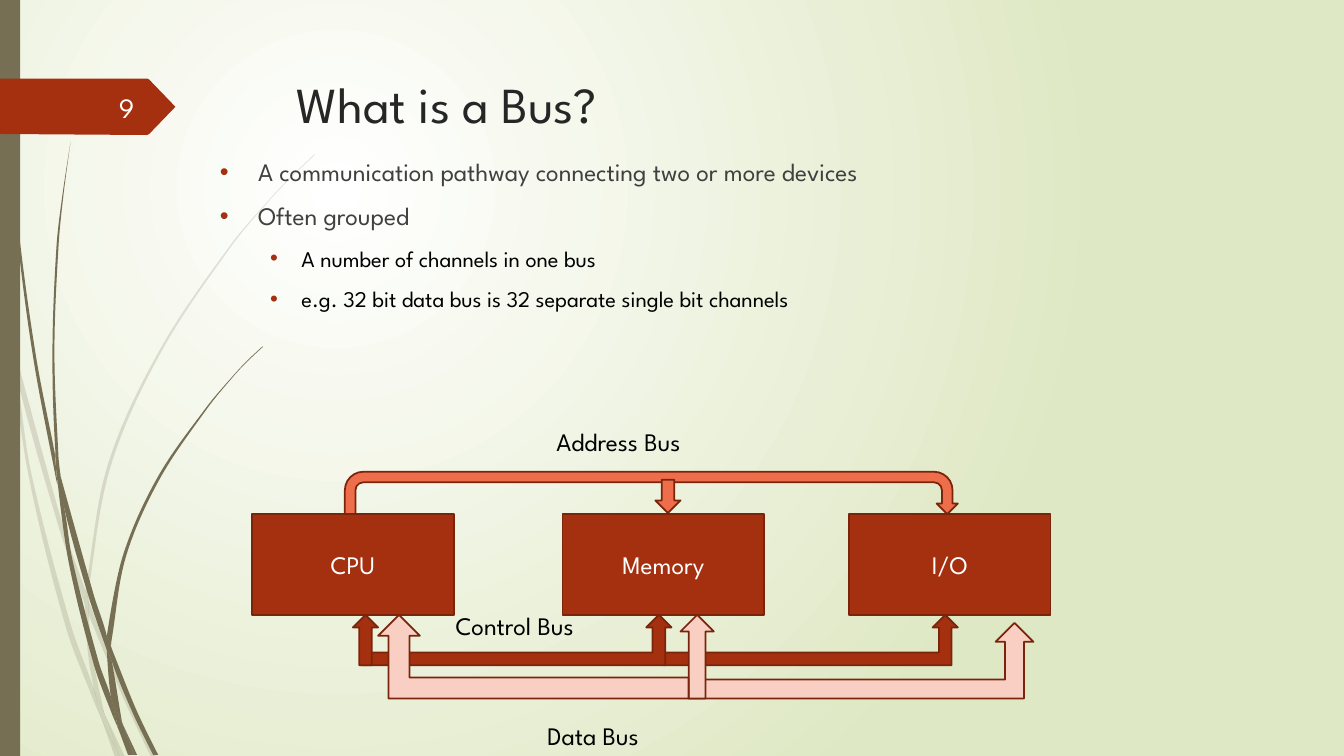
from math import hypot

from lxml import etree
from pptx import Presentation
from pptx.dml.color import RGBColor
from pptx.enum.shapes import MSO_SHAPE
from pptx.enum.text import MSO_ANCHOR, MSO_AUTO_SIZE, PP_ALIGN
from pptx.oxml.ns import qn
from pptx.util import Inches, Pt

RECT, UTURN, DOWN = MSO_SHAPE.RECTANGLE, MSO_SHAPE.U_TURN_ARROW, MSO_SHAPE.DOWN_ARROW
BENT, UP = MSO_SHAPE.BENT_UP_ARROW, MSO_SHAPE.UP_ARROW
TOP, MIDDLE = MSO_ANCHOR.TOP, MSO_ANCHOR.MIDDLE
FIT, FIXED = MSO_AUTO_SIZE.SHAPE_TO_FIT_TEXT, MSO_AUTO_SIZE.NONE
LEFT, CENTER = PP_ALIGN.LEFT, PP_ALIGN.CENTER
RIGHT, JUSTIFY = PP_ALIGN.RIGHT, PP_ALIGN.JUSTIFY

FONT = "League Spartan"
WHITE = RGBColor(0xFF, 0xFF, 0xFF)
BLACK = RGBColor(0x00, 0x00, 0x00)
INK = RGBColor(0x26, 0x26, 0x26)
GREY = RGBColor(0x40, 0x40, 0x40)
GREEN = RGBColor(0xDF, 0xE8, 0xC4)
OLIVE = RGBColor(0x76, 0x6F, 0x54)
RUST = RGBColor(0xA5, 0x30, 0x10)
EDGE = RGBColor(0x7A, 0x24, 0x0C)
CORAL = RGBColor(0xEE, 0x6E, 0x4B)
PINK = RGBColor(0xF9, 0xCF, 0xC3)

# Outlines of the grass blades: x and y in turn
PALE = [
    (0.11, 3.5, 0.09, 3.22, 0, 2.82, 0, 2.99, 0.1, 3.44),
    (0.58, 5.22, 0.84, 5.99, 0.85, 5.86, 0.62, 5.2, 0.14, 3.45, 0.17, 3.76),
    (0.92, 6.07, 0.88, 5.96, 0.88, 6.1, 1.23, 6.94, 1.5, 7.51, 1.55, 7.51, 1.27, 6.92),
    (1.19, 7.51, 1.24, 7.51, 1.05, 7.11),
    (0.93, 6.83, 0.7, 6.19, 0.31, 4.69, 0.17, 3.76, 0.11, 3.5, 0.28, 4.7, 0.65, 6.21,
     0.92, 6.93, 1.01, 7.14, 0.99, 7.07),
    (0.84, 5.99, 0.87, 6.46, 0.93, 6.83, 0.96, 6.92, 1.05, 7.11, 1.03, 7.06, 0.91, 6.46,
     0.88, 6.1, 0.88, 6.08),
    (0.88, 5.84, 1.1, 4.62, 1.6, 3.49, 2.29, 2.45, 2.68, 1.98, 2.9, 1.75, 3.12, 1.54,
     3.12, 1.53, 2.89, 1.75, 2.68, 1.97, 2.28, 2.44, 1.58, 3.48, 1.07, 4.61, 0.85, 5.84,
     0.85, 5.86, 0.88, 5.96),
    (1.01, 7.14, 1.14, 7.51, 1.19, 7.51),
    (0.88, 6.08, 0.88, 6.1, 0.88, 5.96, 0.85, 5.86, 0.84, 5.99),
    (0.96, 6.92, 0.93, 6.83, 0.99, 7.07, 1.01, 7.14, 1.19, 7.51, 1.05, 7.11),
]
DARK = [
    (0.07, 1.1, 0.17, 2.33, 0.33, 3.55, 0.56, 4.77, 0.57, 4.81, 0.55, 4.57, 0.55, 4.53,
     0.36, 3.55, 0.19, 2.32, 0.08, 1.09, 0.05, 0.48, 0.04, 0, 0.03, 0, 0.04, 0.48),
    (0.88, 5.92, 1.06, 6.45, 1.06, 6.31, 0.93, 5.9, 0.6, 4.72, 0.64, 5.05),
    (1.13, 6.49, 1.1, 6.41, 1.11, 6.56, 1.32, 7.08, 1.52, 7.49, 1.57, 7.49, 1.36, 7.06),
    (1.1, 6.91, 0.98, 6.57, 0.72, 5.56, 0.64, 5.05, 0.57, 4.77, 0.68, 5.57, 0.93, 6.59,
     1.11, 7.08, 1.17, 7.22, 1.16, 7.17),
    (0.6, 4.72, 0.58, 4.53, 0.54, 3.49, 0.58, 2.45, 0.63, 1.93, 0.7, 1.41, 0.62, 1.93,
     0.56, 2.45, 0.52, 3.49, 0.55, 4.49),
    (1.33, 7.49, 1.36, 7.49, 1.22, 7.19),
    (0.57, 4.77, 0.64, 5.05, 0.6, 4.72, 0.55, 4.49, 0.55, 4.53),
    (1.11, 6.33, 1.25, 5.52, 1.58, 4.76, 2.05, 4.06, 2.31, 3.74, 2.45, 3.59, 2.61, 3.44,
     2.6, 3.44, 2.45, 3.58, 2.31, 3.73, 2.04, 4.05, 1.56, 4.74, 1.22, 5.51, 1.06, 6.31,
     1.1, 6.41),
    (1.17, 7.22, 1.27, 7.49, 1.31, 7.49),
    (1.06, 6.45, 1.1, 6.91, 1.16, 7.06, 1.22, 7.19, 1.21, 7.16, 1.11, 6.56, 1.09, 6.51),
    (1.06, 6.45, 1.09, 6.51, 1.11, 6.56, 1.1, 6.41, 1.06, 6.31),
    (1.16, 7.06, 1.1, 6.91, 1.16, 7.17, 1.17, 7.22, 1.3, 7.49, 1.33, 7.49, 1.22, 7.19),
]
FLAG = (1.74, 1.06, 1.48, 1.33, 1.46, 1.34, 0, 1.33, 0, 0.78, 1.46, 0.78, 1.48, 0.79)


def paint(shape, fill, line=None):
    shape.shadow.inherit = False
    shape.fill.solid()
    shape.fill.fore_color.rgb = fill
    if line is None:
        shape.line.fill.background()
    else:
        shape.line.color.rgb = line
        shape.line.width = Pt(1.25)


def write(par, text, size, color, align):
    par.alignment = align
    run = par.add_run()
    run.text = text
    run.font.name = FONT
    run.font.size = Pt(size)
    run.font.color.rgb = color


def place(shape, *box):
    shape.left, shape.top, shape.width, shape.height = map(Inches, box)


def block(slide, kind, box, fill, line=EDGE, adjust=(), flip=False):
    shape = slide.shapes.add_shape(kind, *map(Inches, box))
    paint(shape, fill, line)
    for i, value in enumerate(adjust):
        shape.adjustments[i] = value
    if flip:
        shape.element.spPr.find(qn("a:xfrm")).set("flipH", "1")
    return shape


def label(slide, text, box, size=18, color=BLACK, align=LEFT, anchor=TOP):
    frame = slide.shapes.add_textbox(*map(Inches, box)).text_frame
    frame.word_wrap = True
    frame.auto_size = FIT if anchor == TOP else FIXED
    frame.vertical_anchor = anchor
    write(frame.paragraphs[0], text, size, color, align)


def slope(a, b, c):
    """Return the unit direction at b, or none at a corner."""
    ux, uy, vx, vy = b[0] - a[0], b[1] - a[1], c[0] - b[0], c[1] - b[1]
    if ux * vx + uy * vy < 0.95 * hypot(ux, uy) * hypot(vx, vy):
        return 0, 0
    span = hypot(ux + vx, uy + vy)
    return (ux + vx) / span, (uy + vy) / span


def bend(shape):
    """Turn the straight sides of an outline into smooth curves."""
    sides = shape.element.findall(".//" + qn("a:lnTo"))
    first = shape.element.find(".//" + qn("a:moveTo"))
    dots = [(int(s[0].get("x")), int(s[0].get("y"))) for s in [first, *sides]]
    if dots[-1] == dots[0]:
        dots.pop()
    count = len(dots)
    dirs = [slope(dots[i - 1], dots[i], dots[(i + 1) % count]) for i in range(count)]
    for i, side in enumerate(sides):
        j = (i + 1) % count
        (ax, ay), (bx, by) = dots[i], dots[j]
        third = hypot(bx - ax, by - ay) / 3
        side.tag = qn("a:cubicBezTo")
        for k, (x, y, sign) in enumerate(((ax, ay, 1), (bx, by, -1))):
            dx, dy = dirs[(i, j)[k]]
            dot = etree.Element(qn("a:pt"), x=str(round(x + sign * third * dx)),
                                y=str(round(y + sign * third * dy)))
            side.insert(k, dot)


def outline(shapes, flat, fill, alpha=None):
    dots = [(Inches(x), Inches(y)) for x, y in zip(flat[::2], flat[1::2])]
    pen = shapes.build_freeform(*dots[0])
    pen.add_line_segments(dots[1:] + dots[:1], close=True)
    shape = pen.convert_to_shape()
    paint(shape, fill)
    bend(shape)
    if alpha:
        tint = shape.element.spPr.find(".//" + qn("a:srgbClr"))
        etree.SubElement(tint, qn("a:alpha")).set("val", str(alpha * 1000))


def glow(slide):
    """Fill the background with a round gradient."""
    fill = slide.background.fill
    fill.gradient()
    for stop, color in zip(fill.gradient_stops, (WHITE, GREEN)):
        stop.color.rgb = color
    grad = slide.element.find(".//" + qn("a:gradFill"))
    ring = etree.Element(qn("a:path"), path="circle")
    etree.SubElement(ring, qn("a:fillToRect"), l="50000", t="50000", r="100000", b="100000")
    grad.replace(grad.find(qn("a:lin")), ring)


def bullet(par, text, level):
    size, color, left, hang = ((18, GREY, 0.38, 0.38), (16, BLACK, 0.81, 0.31))[level]
    par.level = level
    par.space_before = Pt(10)
    write(par, text, size, color, JUSTIFY)
    props = par._p.get_or_add_pPr()
    props.set("marL", str(Inches(left)))
    props.set("indent", str(-Inches(hang)))
    tint = etree.SubElement(props, qn("a:buClr"))
    etree.SubElement(tint, qn("a:srgbClr")).set("val", str(RUST))
    etree.SubElement(props, qn("a:buFont")).set("typeface", "Arial")
    etree.SubElement(props, qn("a:buChar")).set("char", "•")


def words(slide):
    title, body = slide.placeholders
    for shape in (title, body):
        slide.shapes.element.append(shape.element)
        shape.text_frame.auto_size = FIXED
        shape.text_frame.vertical_anchor = TOP
    place(title, 2.84, 0.68, 9.75, 1.4)
    write(title.text_frame.paragraphs[0], "What is a Bus?", 36, INK, LEFT)
    place(body, 2.08, 1.5, 9.3, 2.5)
    frame = body.text_frame
    for i, (text, level) in enumerate((
            ("A communication pathway connecting two or more devices", 0),
            ("Often grouped", 0),
            ("A number of channels in one bus", 1),
            ("e.g. 32 bit data bus is 32 separate single bit channels", 1))):
        bullet(frame.add_paragraph() if i else frame.paragraphs[0], text, level)


def buses(slide):
    for text, left in (("CPU", 2.5), ("Memory", 5.58), ("I/O", 8.42)):
        frame = block(slide, RECT, (left, 5.1, 2, 1), RUST).text_frame
        frame.vertical_anchor = MIDDLE
        write(frame.paragraphs[0], text, 18, WHITE, CENTER)
    block(slide, UTURN, (3.42, 4.68, 6.08, 0.42), CORAL, adjust=(0.25, 0.25, 0.25, 0.438, 1))
    block(slide, DOWN, (6.5, 4.76, 0.25, 0.33), CORAL)
    label(slide, "Address Bus", (5.42, 4.18, 2.58, 0.4))
    for left, width in ((6.58, 2.92), (3.58, 3.08)):
        block(slide, BENT, (left, 6.1, width, 0.5), RUST)
    block(slide, UP, (3.5, 6.1, 0.25, 0.5), RUST)
    label(slide, "Control Bus", (4.42, 6.01, 2.83, 0.4))
    label(slide, "Data Bus", (5.33, 7.1, 2.83, 0.4))
    block(slide, BENT, (6.83, 6.18, 3.42, 0.75), PINK)
    block(slide, UP, (6.75, 6.1, 0.33, 0.83), PINK)
    block(slide, BENT, (3.75, 6.1, 3.08, 0.83), PINK, flip=True)


def main():
    deck = Presentation()
    deck.slide_width, deck.slide_height = Inches(13.33), Inches(7.5)
    slide = deck.slides.add_slide(deck.slide_layouts[1])
    glow(slide)
    for blades, alpha in ((PALE, 20), (DARK, None)):
        group = slide.shapes.add_group_shape()
        for flat in blades:
            outline(group.shapes, flat, OLIVE, alpha)
    block(slide, RECT, (0, 0, 0.2, 7.5), OLIVE, line=None)
    outline(slide.shapes, FLAG, RUST)
    words(slide)
    label(slide, "9", (0.58, 0.86, 0.85, 0.4), 20, WHITE, RIGHT, MIDDLE)
    buses(slide)
    deck.save("out.pptx")


if __name__ == "__main__":
    main()
